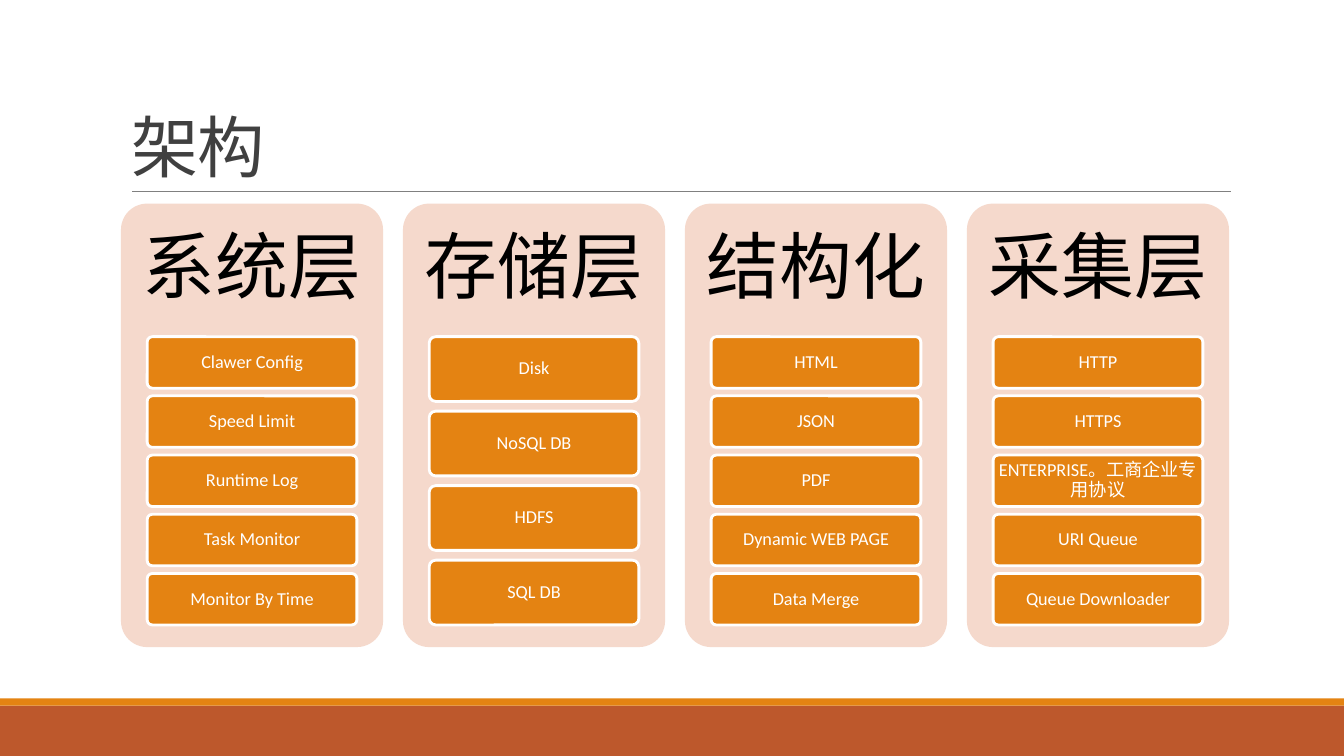
from dataclasses import dataclass

from lxml.etree import SubElement
from pptx import Presentation
from pptx.dml.color import RGBColor
from pptx.enum.shapes import MSO_CONNECTOR, MSO_SHAPE
from pptx.enum.text import MSO_ANCHOR, MSO_AUTO_SIZE, PP_ALIGN
from pptx.oxml.ns import qn
from pptx.util import Inches, Pt


@dataclass(frozen=True)
class Theme:
    font: str = "Calibri"
    rust: str = "BD582C"
    orange: str = "E48312"
    blush: str = "F5D9CC"
    white: str = "FFFFFF"
    black: str = "000000"
    charcoal: str = "404040"
    gray: str = "808080"
    title_size: float = 48
    heading_size: float = 52
    item_size: float = 13


theme = Theme()


def write(shape, text, size, color, align=PP_ALIGN.CENTER, anchor=MSO_ANCHOR.MIDDLE,
          spacing=0.9, insets=(0.04, 0.03, 0.04, 0.03), tracking=0):
    frame = shape.text_frame
    frame.word_wrap = True
    frame.auto_size = MSO_AUTO_SIZE.NONE
    frame.vertical_anchor = anchor
    frame.margin_left, frame.margin_top, frame.margin_right, frame.margin_bottom = map(Inches, insets)
    para = frame.paragraphs[0]
    para.alignment = align
    para.line_spacing = spacing
    span = para.add_run()
    span.text = text
    span.font.name = theme.font
    span.font.size = Pt(size)
    span.font.color.rgb = RGBColor.from_string(color)
    if tracking:
        span.font._element.set("spc", str(int(tracking * 100)))


def add_box(slide, kind, left, top, width, height, fill, line=None):
    box = slide.shapes.add_shape(kind, Inches(left), Inches(top), Inches(width), Inches(height))
    box.shadow.inherit = False
    box.fill.solid()
    box.fill.fore_color.rgb = RGBColor.from_string(fill)
    if line:
        box.line.color.rgb = RGBColor.from_string(line)
        box.line.width = Pt(2)
    else:
        box.line.fill.background()
    if kind == MSO_SHAPE.ROUNDED_RECTANGLE:
        box.adjustments[0] = 0.1
    return box


slide_width, slide_height = 13.33, 7.5
deck = Presentation()
deck.slide_width, deck.slide_height = Inches(slide_width), Inches(slide_height)
slide = deck.slides.add_slide(deck.slide_layouts[5])

add_box(slide, MSO_SHAPE.RECTANGLE, 0, 7, slide_width, 0.5, theme.rust)
add_box(slide, MSO_SHAPE.RECTANGLE, 0, 6.93, slide_width, 0.07, theme.orange)

rule = slide.shapes.add_connector(MSO_CONNECTOR.STRAIGHT, Inches(1.31), Inches(1.9), Inches(12.21), Inches(1.9))
rule.line.color.rgb = RGBColor.from_string(theme.gray)
rule.line.width = Pt(0.5)
SubElement(rule._element.spPr, qn("a:effectLst"))

title = slide.shapes.title
title.left, title.top, title.width, title.height = map(Inches, (1.2, 0.31, 11, 1.59))
write(title, "架构", theme.title_size, theme.charcoal, align=PP_ALIGN.LEFT, anchor=MSO_ANCHOR.BOTTOM,
      spacing=0.85, insets=(0.1, 0.05, 0.1, 0.05), tracking=-0.5)

layers = {
    "系统层": ["Clawer Config", "Speed Limit", "Runtime Log", "Task Monitor", "Monitor By Time"],
    "存储层": ["Disk", "NoSQL DB", "HDFS", "SQL DB"],
    "结构化": ["HTML", "JSON", "PDF", "Dynamic WEB PAGE", "Data Merge"],
    "采集层": ["HTTP", "HTTPS", "ENTERPRISE。工商企业专用协议", "URI Queue", "Queue Downloader"],
}
grid_left, grid_top, grid_width = 1.2, 2.02, 10.99
card_width, card_height = 2.6, 4.4
column_pitch = (grid_width - card_width) / (len(layers) - 1)
heading_share, items_share, gap_share = 0.3, 0.65, 0.15

for column, (heading, items) in enumerate(layers.items()):
    left = grid_left + column * column_pitch
    card = add_box(slide, MSO_SHAPE.ROUNDED_RECTANGLE, left, grid_top, card_width, card_height, theme.blush)
    write(card, heading, theme.heading_size, theme.black,
          insets=(0.08, 0, 0.08, card_height * (1 - heading_share)))

    item_height = card_height * items_share / (len(items) + gap_share * (len(items) - 1))
    for row, label in enumerate(items):
        top = grid_top + card_height * heading_share + row * item_height * (1 + gap_share)
        item = add_box(slide, MSO_SHAPE.ROUNDED_RECTANGLE, left + 0.1 * card_width, top,
                       0.8 * card_width, item_height, theme.orange, line=theme.white)
        write(item, label, theme.item_size, theme.white)

deck.save("out.pptx")
